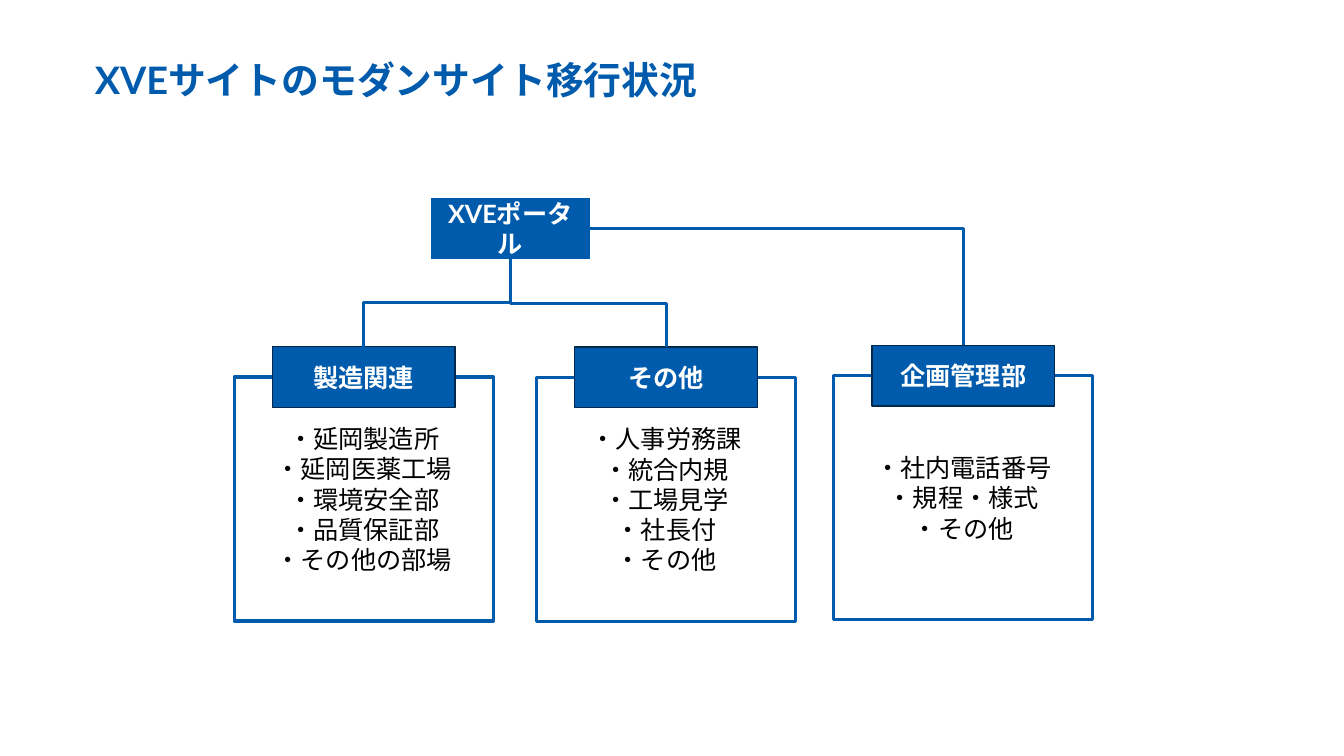
from lxml.etree import SubElement
from pptx import Presentation
from pptx.dml.color import RGBColor
from pptx.enum.lang import MSO_LANGUAGE_ID
from pptx.enum.shapes import MSO_CONNECTOR, MSO_SHAPE
from pptx.enum.text import MSO_ANCHOR, MSO_AUTO_SIZE, PP_ALIGN
from pptx.oxml.ns import qn
from pptx.util import Cm, Pt

COLORS = {"blue": "005BAC", "edge": "00284B", "black": "000000", "white": "FFFFFF"}
FONT = "Lato"


def write(sp, lines, size=18, color="black", bold=False, align=PP_ALIGN.CENTER, spacing=None):
    tf = sp.text_frame
    tf.word_wrap = True
    tf.auto_size = MSO_AUTO_SIZE.NONE
    tf.vertical_anchor = MSO_ANCHOR.MIDDLE
    for i, line in enumerate(lines):
        p = tf.add_paragraph() if i else tf.paragraphs[0]
        p.alignment = align
        p.line_spacing = spacing
        r = p.add_run()
        r.text = line
        r.font.size = Pt(size)
        r.font.bold = bold
        r.font.name = FONT
        r.font.color.rgb = RGBColor.from_string(COLORS[color])
        r.font.language_id = MSO_LANGUAGE_ID.JAPANESE
        SubElement(r.font._element, qn("a:ea")).set("typeface", FONT)


def add_box(kind, x, y, w, h, fill=None, line=None, width=1):
    sp = slide.shapes.add_shape(kind, Cm(x), Cm(y), Cm(w), Cm(h))
    sp.shadow.inherit = False
    if fill:
        sp.fill.solid()
        sp.fill.fore_color.rgb = RGBColor.from_string(COLORS[fill])
    else:
        sp.fill.background()
    if line:
        sp.line.color.rgb = RGBColor.from_string(COLORS[line])
        sp.line.width = Pt(width)
    else:
        sp.line.fill.background()
    return sp


prs = Presentation()
prs.slide_width, prs.slide_height = Cm(33.87), Cm(19.05)
slide = prs.slides.add_slide(prs.slide_layouts[5])

title = slide.shapes.title
title.left, title.top, title.width, title.height = Cm(2.39), Cm(1.22), Cm(26.6), Cm(1.32)
tf = title.text_frame
tf.margin_left = tf.margin_top = tf.margin_right = tf.margin_bottom = 0
write(title, ["XVEサイトのモダンサイト移行状況"], size=27, color="blue", bold=True,
      align=PP_ALIGN.LEFT, spacing=1.2)

portal = add_box(MSO_SHAPE.FLOWCHART_PROCESS, 10.85, 5, 4.02, 1.53, fill="blue")
write(portal, ["XVEポータル"], color="white", bold=True)

BOX_W, BOX_H = 6.53, 6.15
HEAD_W, HEAD_H = 4.6, 1.53
groups = [
    ("製造関連", 5.9, 9.5, 2,
     ["・延岡製造所", "・延岡医薬工場", "・環境安全部", "・品質保証部", "・その他の部場"]),
    ("その他", 13.52, 9.51, 2,
     ["・人事労務課", "・統合内規", "・工場見学", "・社長付", "・その他"]),
    ("企画管理部", 21.01, 9.47, 3, ["・社内電話番号", "・規程・様式", "・その他"]),
]

for name, x, y, side, items in groups:
    box = add_box(MSO_SHAPE.RECTANGLE, x, y, BOX_W, BOX_H, line="blue", width=2.25)
    write(box, items)
    head = add_box(MSO_SHAPE.FLOWCHART_PROCESS, x + (BOX_W - HEAD_W) / 2, y - HEAD_H / 2,
                   HEAD_W, HEAD_H, fill="blue", line="edge")
    write(head, [name], color="white", bold=True)

    link = slide.shapes.add_connector(MSO_CONNECTOR.ELBOW, 0, 0, 0, 0)
    link.begin_connect(portal, side)
    link.end_connect(head, 0)
    link.line.color.rgb = RGBColor.from_string(COLORS["blue"])
    link.line.width = Pt(2.25)
    spPr = link._element.spPr
    SubElement(spPr, qn("a:effectLst"))
    if side == 3:
        spPr.find(qn("a:prstGeom")).set("prst", "bentConnector2")
        continue
    dx, dy = link.end_x - link.begin_x, link.end_y - link.begin_y
    mid_x, mid_y = (link.begin_x + link.end_x) // 2, (link.begin_y + link.end_y) // 2
    link.width, link.height = dy, abs(dx)
    link.left, link.top = mid_x - dy // 2, mid_y - abs(dx) // 2
    xfrm = spPr.find(qn("a:xfrm"))
    xfrm.set("rot", str((270 if dx > 0 else 90) * 60000))
    xfrm.set("flipH", "1" if dx > 0 else "0")

prs.save("out.pptx")
